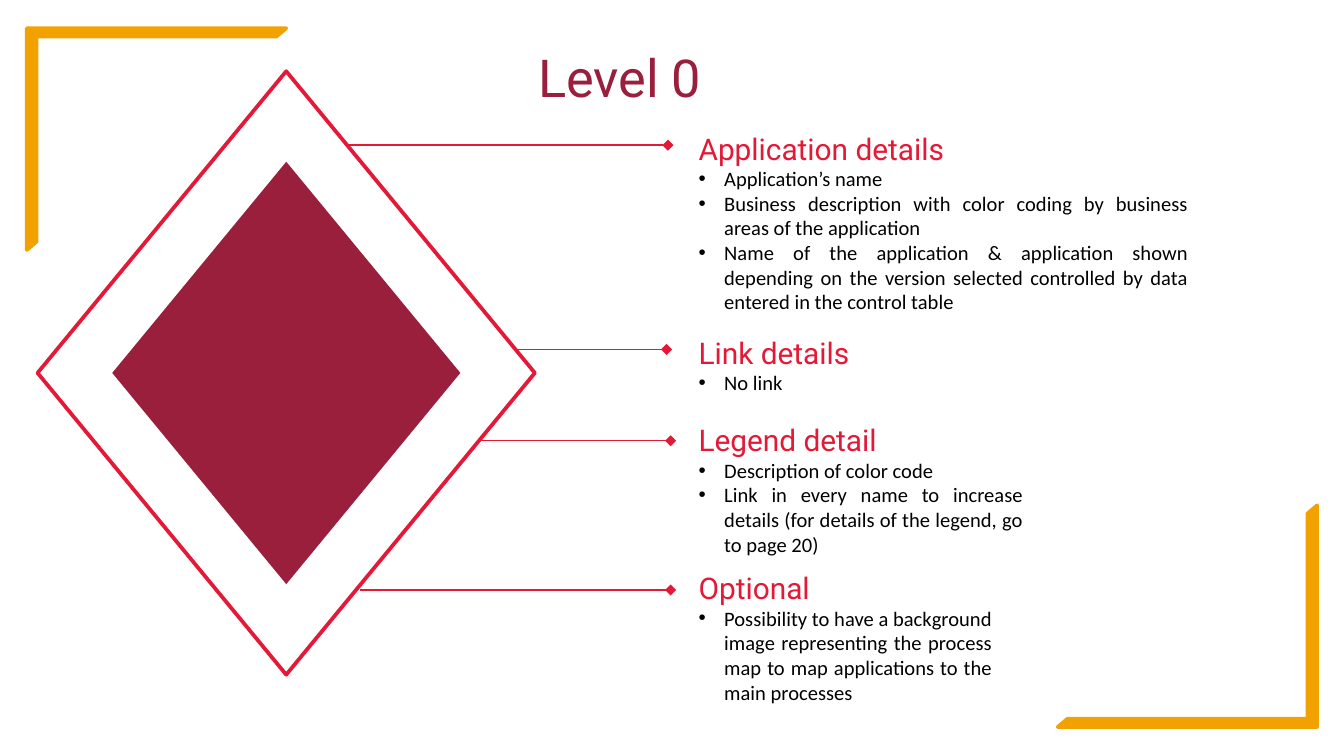
from dataclasses import dataclass
from lxml.etree import SubElement
from pptx import Presentation
from pptx.dml.color import RGBColor as Rgb
from pptx.enum.shapes import MSO_CONNECTOR as Conn, MSO_SHAPE as Shape
from pptx.enum.text import PP_ALIGN as Align
from pptx.oxml.ns import qn
from pptx.util import Inches, Pt


@dataclass(frozen=True)
class Theme:
    gold: str = "F2A200"
    red: str = "E31937"
    wine: str = "991F3D"
    white: str = "FFFFFF"
    black: str = "000000"
    head: str = "Roboto"
    body: str = "Calibri"
    title: int = 28
    topic: int = 16
    item: int = 11
    thick: float = 2
    thin: float = 0.75


THEME = Theme()

# Heading, text box, leader start and end (x, x, y), bullet items
TOPICS = [
    ("Application details", (5.1, 0.92, 3.84, 1.66), (2.48, 4.97, 1.08), [
        "Application’s name",
        "Business description with color coding by business areas of the application",
        "Name of the application & application shown depending on the version "
        "selected controlled by data entered in the control table"]),
    ("Link details", (5.1, 2.44, 2.84, 0.56), (3.34, 4.96, 2.6), ["No link"]),
    ("Legend detail", (5.1, 3.09, 2.61, 1.3), (3.34, 4.99, 3.28), [
        "Description of color code",
        "Link in every name to increase details (for details of the legend, "
        "go to page 20)"]),
    ("Optional", (5.1, 4.19, 2.38, 1.11), (2.68, 4.99, 4.39), [
        "Possibility to have a background image representing the process map "
        "to map applications to the main processes"]),
]


def add_shape(parent, kind, box, fill, line=None):
    shape = parent.shapes.add_shape(kind, *map(Inches, box))
    shape.shadow.inherit = False
    shape.fill.solid()
    shape.fill.fore_color.rgb = Rgb.from_string(fill)
    if line:
        shape.line.color.rgb = Rgb.from_string(line)
        shape.line.width = Pt(THEME.thick)
        SubElement(shape.line._get_or_add_ln(), qn("a:round"))
    else:
        shape.line.fill.background()
    return shape


def add_box(slide, box):
    frame = slide.shapes.add_textbox(*map(Inches, box)).text_frame
    frame.word_wrap = True
    return frame


def add_text(frame, text, size, font, color, align=Align.LEFT, bullet=False):
    """Fill the first paragraph of the frame if empty, else append one."""
    first = frame.paragraphs[0]
    para = frame.add_paragraph() if first.runs else first
    para.alignment = align
    if bullet:
        props = para._p.get_or_add_pPr()
        indent = Inches(0.19)
        props.set("marL", str(indent))
        props.set("indent", str(-indent))
        SubElement(props, qn("a:buFont"), typeface="Arial")
        SubElement(props, qn("a:buChar"), char="•")
    run = para.add_run()
    run.text = text
    run.font.size = Pt(size)
    run.font.name = font
    run.font.color.rgb = Rgb.from_string(color)


def add_frame(slide, box, turn=0):
    """Corner bracket."""
    frame = add_shape(slide, Shape.HALF_FRAME, box, THEME.gold, THEME.gold)
    frame.adjustments[0] = 0.038
    frame.adjustments[1] = 0.044
    frame.rotation = turn


def add_leader(slide, start, end, y):
    """Thin line that ends in a small diamond."""
    line = slide.shapes.add_connector(
        Conn.STRAIGHT, Inches(start), Inches(y), Inches(end), Inches(y))
    line.line.color.rgb = Rgb.from_string(THEME.red)
    line.line.width = Pt(THEME.thin)
    SubElement(line.line._get_or_add_ln(), qn("a:tailEnd"), type="diamond")
    SubElement(line._element.spPr, qn("a:effectLst"))


def add_gem(slide, box):
    """Outlined diamond grouped with a solid one, 70 % as large, at its centre."""
    left, top, width, height = box
    group = slide.shapes.add_group_shape()
    add_shape(group, Shape.DIAMOND, box, THEME.white, THEME.red)
    scale = 0.7
    gap = (1 - scale) / 2
    inner = (left + width * gap, top + height * gap, width * scale, height * scale)
    add_shape(group, Shape.DIAMOND, inner, THEME.wine)


def add_topic(slide, box, head, items):
    frame = add_box(slide, box)
    add_text(frame, head, size=THEME.topic, font=THEME.head, color=THEME.red)
    for item in items:
        add_text(frame, item, size=THEME.item, font=THEME.body,
                 color=THEME.black, align=Align.JUSTIFY, bullet=True)


def add_title(slide, box, text):
    add_text(add_box(slide, box), text, size=THEME.title, font=THEME.head,
             color=THEME.wine, align=Align.CENTER)


def main():
    deck = Presentation()
    deck.slide_width = Inches(10)
    deck.slide_height = deck.slide_width * 9 // 16
    slide = deck.slides.add_slide(deck.slide_layouts[6])
    add_frame(slide, (0.2, 0.21, 1.93, 1.65))
    add_frame(slide, (7.87, 3.76, 1.93, 1.65), turn=180)
    *behind, front = [leader for _, _, leader, _ in TOPICS]
    for leader in behind:
        add_leader(slide, *leader)
    add_gem(slide, (0.28, 0.53, 3.7, 4.49))
    add_leader(slide, *front)
    for head, box, _, items in TOPICS:
        add_topic(slide, box, head, items)
    add_title(slide, (0.28, 0.29, 8.66, 0.57), "Level 0")
    deck.save("out.pptx")


if __name__ == "__main__":
    main()
